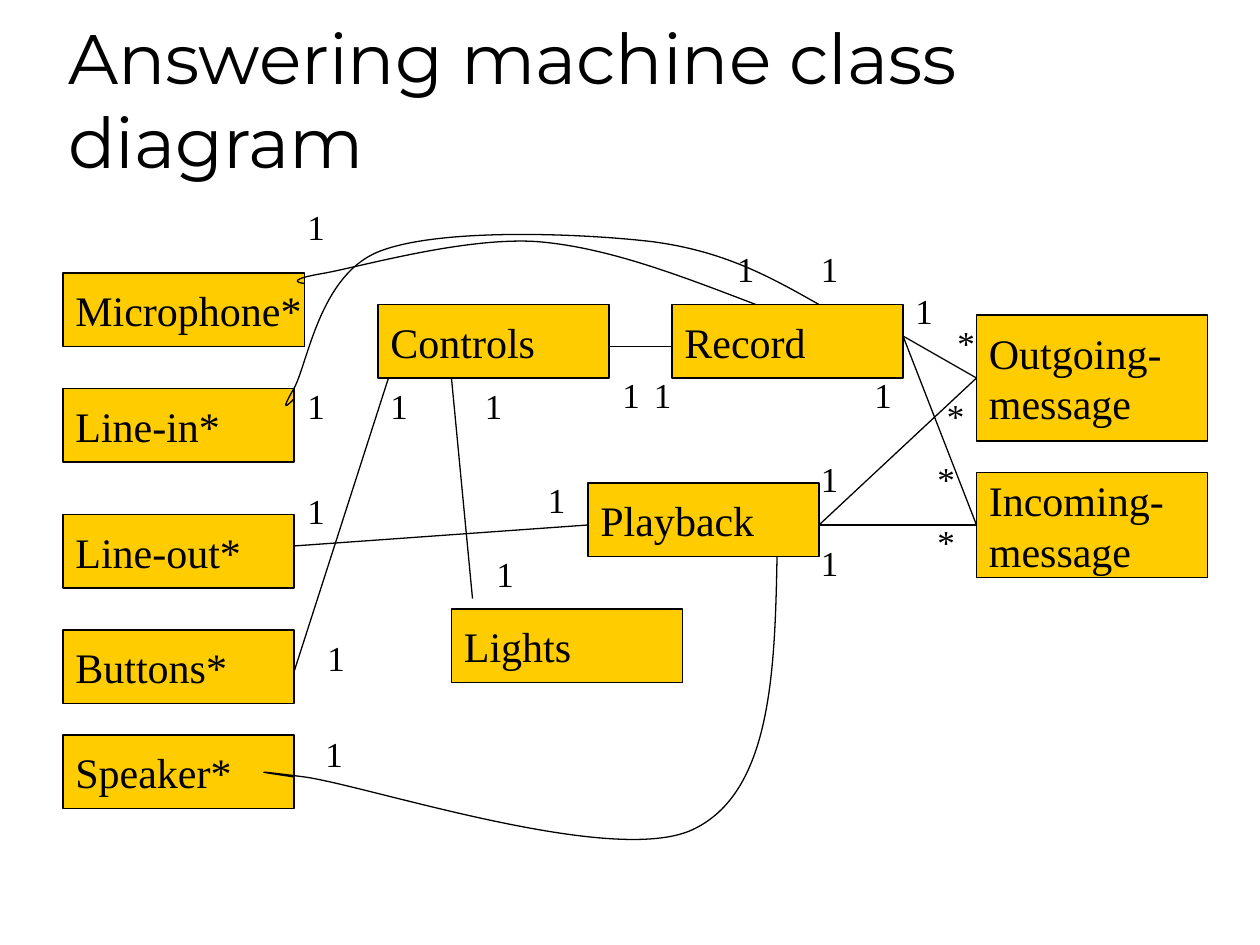
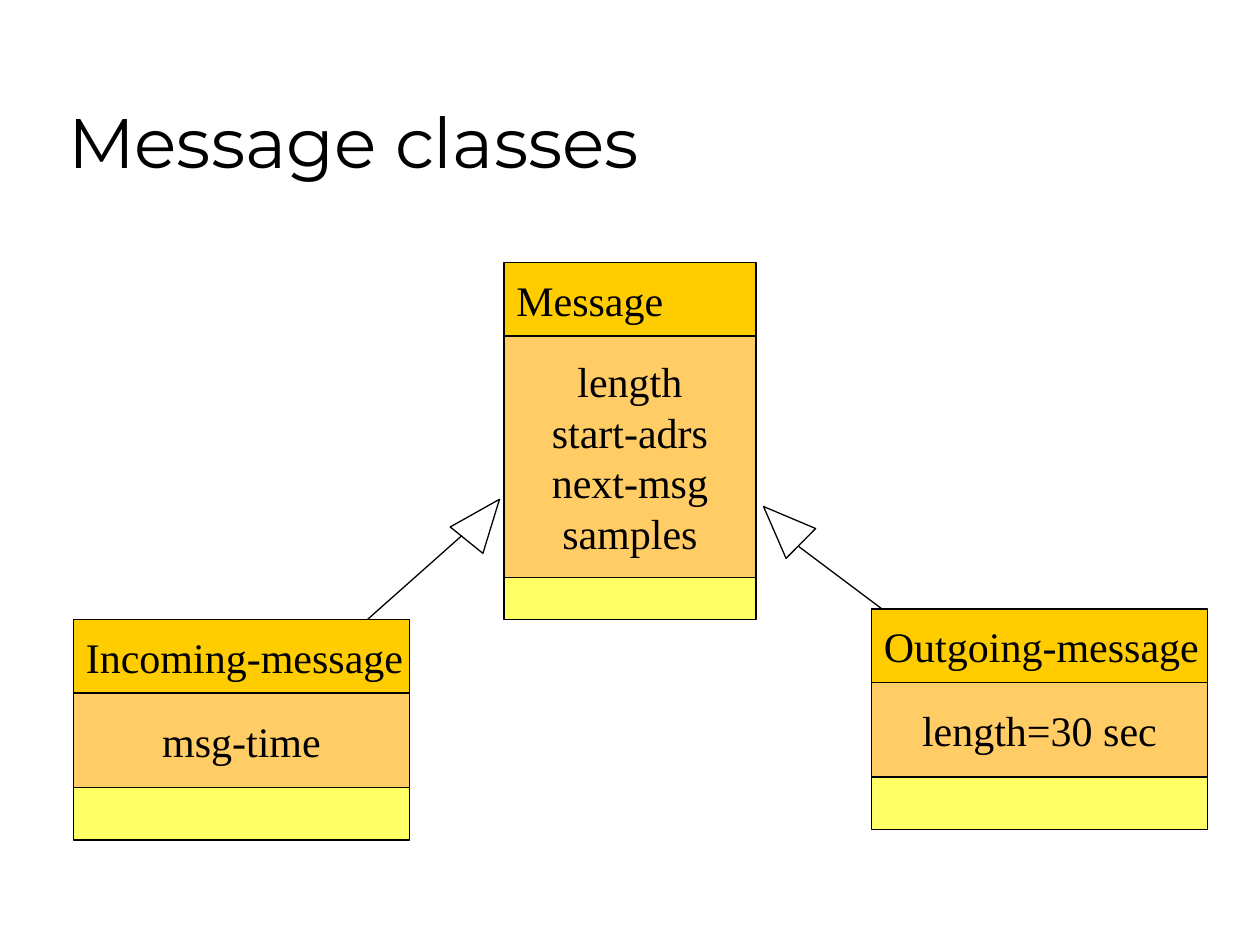
from lxml.etree import SubElement
from pptx import Presentation
from pptx.dml.color import RGBColor
from pptx.enum.shapes import MSO_CONNECTOR, MSO_SHAPE
from pptx.enum.text import MSO_ANCHOR, MSO_AUTO_SIZE, PP_ALIGN
from pptx.oxml.ns import qn
from pptx.util import Emu, Pt

# Scale: 120 px to the inch
PX = 7620

# Shared look
BLACK = RGBColor(0x00, 0x00, 0x00)
WHITE = RGBColor(0xFF, 0xFF, 0xFF)
GOLD = RGBColor(0xFF, 0xCC, 0x00)
ORANGE = RGBColor(0xFF, 0xCC, 0x66)
YELLOW = RGBColor(0xFF, 0xFF, 0x66)
TITLE_FONT = "Montserrat"
BODY_FONT = "Times New Roman"
LINE_WIDTH = Pt(0.75)
BOX_W, BOX_H = 220, 70


def px(*lengths):
    return [Emu(n * PX) for n in lengths]


def write(tf, text, font=BODY_FONT, size=24, align=PP_ALIGN.LEFT,
          anchor=MSO_ANCHOR.MIDDLE, wrap=False, fit=MSO_AUTO_SIZE.NONE):
    """Fill a text frame, one paragraph for each line of text."""
    tf.auto_size = fit
    tf.word_wrap = wrap
    tf.vertical_anchor = anchor
    for i, line in enumerate(text.split("\n")):
        p = tf.add_paragraph() if i else tf.paragraphs[0]
        p.alignment = align
        r = p.add_run()
        r.text = line
        r.font.name = font
        r.font.size = Pt(size)
        r.font.color.rgb = BLACK


def outline(sp):
    sp.line.color.rgb = BLACK
    sp.line.width = LINE_WIDTH


def add_slide(prs, title):
    s = prs.slides.add_slide(prs.slide_layouts[6])
    sp = s.shapes.add_textbox(*px(53, 30, 1020, 150))
    write(sp.text_frame, title, font=TITLE_FONT, size=40,
          anchor=MSO_ANCHOR.BOTTOM, wrap=True)
    return s


def add_filled(s, kind, x, y, w, h, fill):
    sp = s.shapes.add_shape(kind, *px(x, y, w, h))
    sp.shadow.inherit = False
    sp.fill.solid()
    sp.fill.fore_color.rgb = fill
    outline(sp)
    return sp


def add_box(s, text, x, y, w=BOX_W, h=BOX_H, fill=GOLD, align=PP_ALIGN.LEFT):
    sp = add_filled(s, MSO_SHAPE.RECTANGLE, x, y, w, h, fill)
    if text:
        write(sp.text_frame, text, align=align)


def add_class(s, name, attributes, x, y, w, attributes_h, methods_h):
    """Stack the name, attribute and method sections of a class."""
    add_box(s, name, x, y, w)
    y += BOX_H
    add_box(s, attributes, x, y, w, attributes_h, ORANGE, PP_ALIGN.CENTER)
    add_box(s, "", x, y + attributes_h, w, methods_h, YELLOW)


def add_line(s, x1, y1, x2, y2):
    cn = s.shapes.add_connector(MSO_CONNECTOR.STRAIGHT, *px(x1, y1, x2, y2))
    outline(cn)
    SubElement(cn.element.spPr, qn("a:effectLst"))


def add_curve(s, start, points):
    """Draw cubic curves; each takes two control points and an end point."""
    builder = s.shapes.build_freeform(*start, scale=PX)
    builder.add_line_segments(points, close=False)
    sp = builder.convert_to_shape()
    sp.shadow.inherit = False
    sp.fill.background()
    outline(sp)
    # Merge every three straight segments into one curve
    segments = sp.element.xpath(".//a:lnTo")
    for i in range(0, len(segments), 3):
        curve = SubElement(segments[i].getparent(), qn("a:cubicBezTo"))
        for segment in segments[i:i + 3]:
            curve.append(segment[0])
            segment.getparent().remove(segment)


def add_multiplicity(s, text, x, y):
    sp = s.shapes.add_textbox(*px(x, y, 41, 53))
    write(sp.text_frame, text, size=20, anchor=MSO_ANCHOR.TOP,
          fit=MSO_AUTO_SIZE.SHAPE_TO_FIT_TEXT)


def add_triangle(s, x, y, angle):
    sp = add_filled(s, MSO_SHAPE.ISOSCELES_TRIANGLE, x, y, 40, 50, WHITE)
    sp.rotation = angle


def class_diagram(prs):
    s = add_slide(prs, "Answering machine class diagram")

    # Classes
    add_box(s, "Microphone*", 60, 260, w=230)
    for name, x, y in [
        ("Line-in*", 60, 370), ("Line-out*", 60, 490), ("Buttons*", 60, 600),
        ("Speaker*", 60, 700), ("Lights", 430, 580), ("Playback", 560, 460),
        ("Controls", 360, 290), ("Record", 640, 290),
    ]:
        add_box(s, name, x, y)
    add_box(s, "Outgoing-\nmessage", 930, 300, h=120)
    add_box(s, "Incoming-\nmessage", 930, 450, h=100)

    # Curved associations: microphone, line-in, speaker
    add_curve(s, (290, 270), [
        (282, 269), (274, 266), (310, 260), (347, 253), (442, 226), (510, 230),
        (578, 235), (649, 263), (720, 290)])
    add_curve(s, (280, 380), [
        (274, 386), (266, 394), (280, 370), (293, 347), (304, 263), (360, 240),
        (416, 217), (550, 222), (620, 230), (690, 239), (734, 264), (780, 290)])
    add_curve(s, (280, 740), [
        (253, 736), (227, 732), (290, 740), (353, 749), (584, 826), (660, 790),
        (734, 755), (738, 642), (740, 530)])

    # Straight associations
    for ends in [
        (280, 520, 560, 500), (280, 640, 370, 360), (450, 570, 430, 360),
        (580, 330, 640, 330), (780, 500, 930, 500), (780, 500, 930, 360),
        (930, 360, 860, 320), (860, 320, 930, 500),
    ]:
        add_line(s, *ends)

    # Multiplicities
    ones = [
        (298, 692), (300, 600), (281, 460), (281, 360), (281, 190), (461, 520),
        (510, 450), (450, 360), (360, 360), (581, 350), (611, 350), (770, 230),
        (690, 230), (821, 350), (860, 270), (770, 430), (770, 510),
    ]
    many = [(900, 300), (890, 370), (881, 430), (881, 490)]
    for text, places in (("1", ones), ("*", many)):
        for x, y in places:
            add_multiplicity(s, text, x, y)


def message_classes(prs):
    s = add_slide(prs, "Message classes")

    # Base class and its two subclasses
    add_class(s, "Message", "length\nstart-adrs\nnext-msg\nsamples",
              480, 250, 240, 230, 40)
    add_class(s, "Incoming-message", "msg-time", 70, 590, 320, 90, 50)
    add_class(s, "Outgoing-message", "length=30 sec", 830, 580, 320, 90, 50)

    # Generalization arrows
    add_triangle(s, 440, 470, 38.9)
    add_triangle(s, 725, 475, 314.7)
    add_line(s, 440, 510, 350, 590)
    add_line(s, 760, 520, 840, 580)


def main():
    prs = Presentation()
    prs.slide_width, prs.slide_height = px(1200, 900)
    class_diagram(prs)
    message_classes(prs)
    prs.save("out.pptx")


if __name__ == "__main__":
    main()
